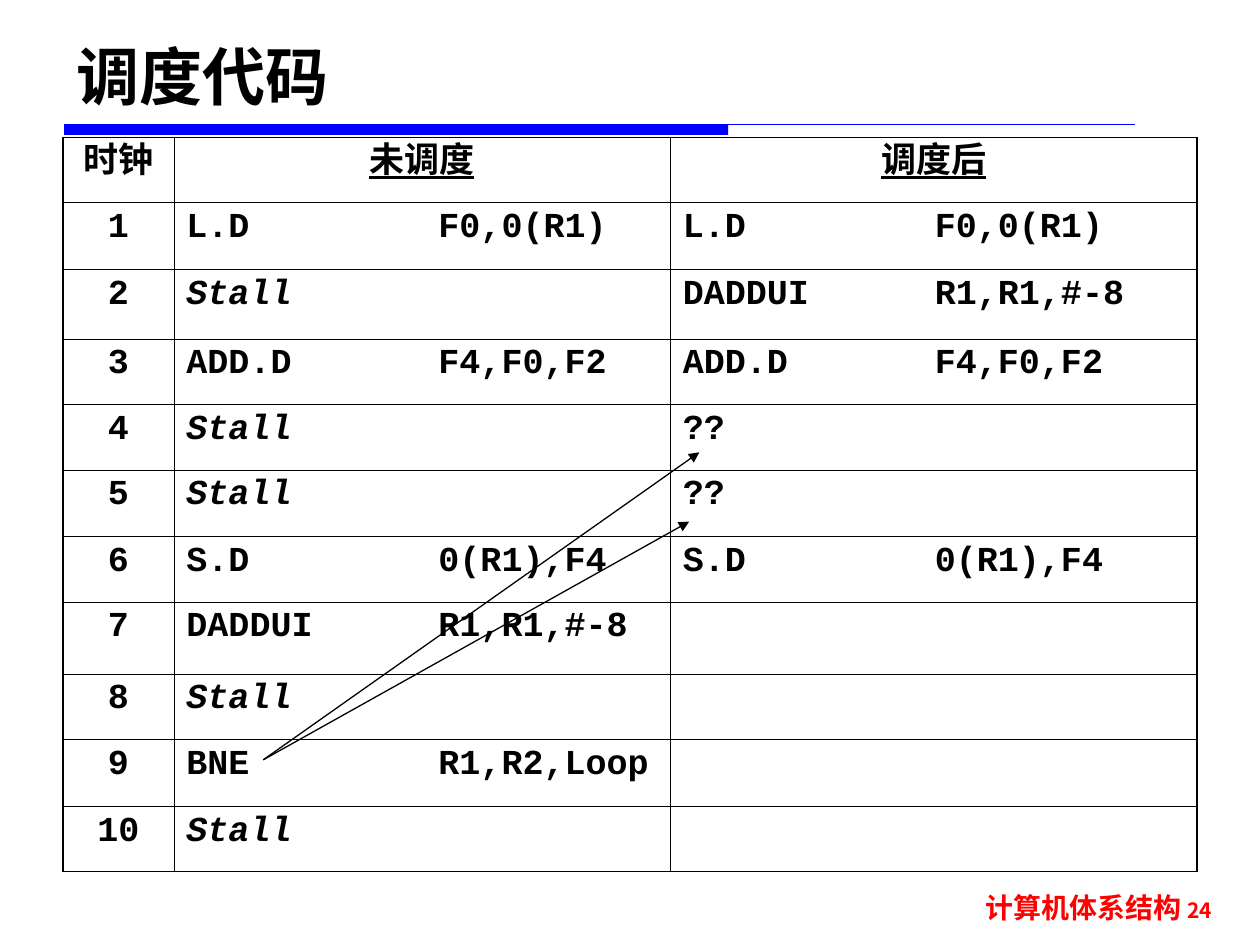
from lxml.etree import SubElement
from pptx import Presentation
from pptx.dml.color import RGBColor
from pptx.enum.shapes import MSO_CONNECTOR, MSO_SHAPE
from pptx.enum.text import MSO_ANCHOR, MSO_AUTO_SIZE, PP_ALIGN
from pptx.oxml.ns import qn
from pptx.util import Inches, Pt

COLORS = {"text": "000000", "rule": "0000FF", "footer": "FF0000"}
CODE_FONT = "Courier New"
TITLE_FONT = "DejaVu Sans"
FOOTER_FONT = "Noto Sans CJK SC"
THIN, THICK = 0.45, 1.08

COLUMN_WIDTHS = [0.88, 3.94, 4.18]
ROW_HEIGHTS = [0.52, 0.53, 0.55, 0.52, 0.52, 0.53, 0.52, 0.57, 0.52, 0.53, 0.52]
HEADER = ("时钟", "未调度", "调度后")
UNSCHEDULED = [
    "L.D\t\tF0,0(R1)", "Stall", "ADD.D\t\tF4,F0,F2", "Stall", "Stall",
    "S.D\t\t0(R1),F4", "DADDUI\tR1,R1,#-8", "Stall", "BNE\t\tR1,R2,Loop", "Stall",
]
SCHEDULED = [
    "L.D\t\tF0,0(R1)", "DADDUI\tR1,R1,#-8", "ADD.D\t\tF4,F0,F2", "??", "??",
    "S.D\t\t0(R1),F4", "", "", "", "",
]


def color(name):
    return RGBColor.from_string(COLORS[name])


def format_run(run, font_name, size, color_name):
    run.font.name = font_name
    run.font.size = Pt(size)
    run.font.bold = True
    run.font.color.rgb = color(color_name)
    SubElement(run.font._element, qn("a:ea"), typeface=font_name)


def add_tab_stops(paragraph):
    """Set a left tab at every inch from 0 to 7."""
    tab_list = SubElement(paragraph._p.get_or_add_pPr(), qn("a:tabLst"))
    for inch in range(8):
        SubElement(tab_list, qn("a:tab"), pos=str(Inches(inch)), algn="l")


def add_line(slide, start, end, color_name, arrow=False):
    points = [Inches(value) for value in (*start, *end)]
    line = slide.shapes.add_connector(MSO_CONNECTOR.STRAIGHT, *points)
    line.line.color.rgb = color(color_name)
    line.line.width = Pt(0.75)
    if arrow:
        SubElement(line.line._get_or_add_ln(), qn("a:tailEnd"), type="triangle")
    SubElement(line._element.spPr, qn("a:effectLst"))


def place_title(slide, left, top, width, height):
    title = slide.shapes.title
    title.left, title.top = Inches(left), Inches(top)
    title.width, title.height = Inches(width), Inches(height)
    frame = title.text_frame
    frame.text = "调度代码"
    frame.auto_size = MSO_AUTO_SIZE.NONE
    frame.vertical_anchor = MSO_ANCHOR.BOTTOM
    paragraph = frame.paragraphs[0]
    paragraph.alignment = PP_ALIGN.LEFT
    format_run(paragraph.runs[0], TITLE_FONT, 36, "text")


def add_title_rule(slide, left, top, width, height):
    """Draw a thin line whose first part is a thick bar."""
    bar = slide.shapes.add_shape(
        MSO_SHAPE.RECTANGLE, Inches(left), Inches(top), Inches(width * 0.62), Inches(height))
    bar.shadow.inherit = False
    bar.fill.solid()
    bar.fill.fore_color.rgb = color("rule")
    bar.line.fill.background()
    add_line(slide, (left, top), (left + width, top), "rule")


def set_borders(cell, widths):
    """Draw the left, right, top and bottom borders with widths in points."""
    properties = cell._tc.get_or_add_tcPr()
    for index, (side, width) in enumerate(zip("LRTB", widths)):
        border = properties.makeelement(qn(f"a:ln{side}"), {"w": str(Pt(width))})
        fill = SubElement(border, qn("a:solidFill"))
        SubElement(fill, qn("a:srgbClr"), val=COLORS["text"])
        properties.insert(index, border)


def fill_cell(cell, text, is_header, is_clock):
    cell.text_frame.text = text
    paragraph = cell.text_frame.paragraphs[0]
    add_tab_stops(paragraph)
    paragraph.line_spacing = 0.9
    paragraph.alignment = PP_ALIGN.CENTER if is_header or is_clock else PP_ALIGN.LEFT
    for run in paragraph.runs:
        format_run(run, CODE_FONT, 20, "text")
        run.font.underline = is_header and not is_clock
        run.font.italic = text == "Stall"


def add_schedule(slide, left, top, width, height):
    clocks = [str(number) for number in range(1, len(UNSCHEDULED) + 1)]
    rows = [HEADER, *zip(clocks, UNSCHEDULED, SCHEDULED)]
    table = slide.shapes.add_table(
        len(rows), len(HEADER), Inches(left), Inches(top), Inches(width), Inches(height)).table
    table.first_row = table.horz_banding = False
    for column, column_width in zip(table.columns, COLUMN_WIDTHS):
        column.width = Inches(column_width)
    last_row, last_column = len(rows) - 1, len(HEADER) - 1
    for r, texts in enumerate(rows):
        table.rows[r].height = Inches(ROW_HEIGHTS[r])
        for c, text in enumerate(texts):
            cell = table.cell(r, c)
            cell.margin_left = cell.margin_right = Inches(0.1)
            cell.margin_top = cell.margin_bottom = Inches(0.05)
            cell.fill.background()
            fill_cell(cell, text, r == 0, c == 0)
            outer = (c == 0, c == last_column, r == 0, r == last_row)
            set_borders(cell, [THICK if edge else THIN for edge in outer])


def add_footer(slide, left, top, width, height):
    footer = slide.shapes.add_textbox(Inches(left), Inches(top), Inches(width), Inches(height))
    footer.text_frame.word_wrap = True
    paragraph = footer.text_frame.paragraphs[0]
    paragraph.alignment = PP_ALIGN.RIGHT
    for text, size in (("计算机体系结构 ", 16), ("24", 12)):
        run = paragraph.add_run()
        run.text = text
        format_run(run, FOOTER_FONT, size, "footer")


def main():
    presentation = Presentation()
    presentation.slide_width, presentation.slide_height = Inches(10), Inches(7.5)
    slide = presentation.slides.add_slide(presentation.slide_layouts[5])
    add_title_rule(slide, 0.51, 0.99, 8.5, 0.08)
    add_footer(slide, 7.27, 7.02, 2.45, 0.43)
    place_title(slide, 0.51, 0.21, 8.66, 0.74)
    add_schedule(slide, 0.5, 1.09, sum(COLUMN_WIDTHS), sum(ROW_HEIGHTS))
    branch = (2.09, 6.03)
    for free_slot in ((5.47, 4.14), (5.55, 3.59)):
        add_line(slide, branch, free_slot, "text", arrow=True)
    presentation.save("out.pptx")


if __name__ == "__main__":
    main()
